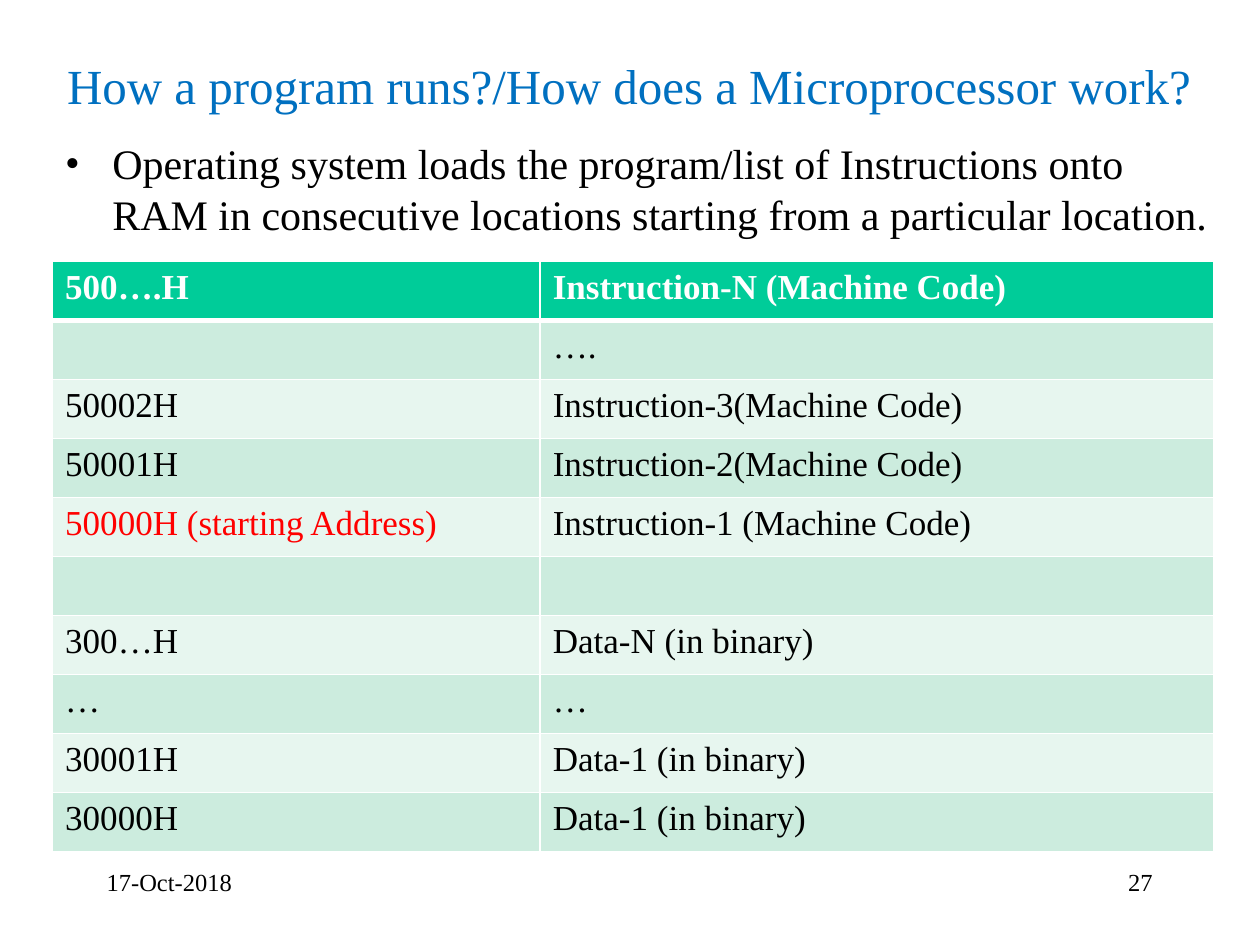
from pptx import Presentation
from pptx import util as u
from pptx.dml import color
from pptx.enum import text
from pptx.oxml import ns
from lxml import etree

FONT = "Times New Roman"
BLACK, WHITE, BLUE, RED = "000000", "FFFFFF", "0070C0", "FF0000"
HEADER, BAND_DARK, BAND_LIGHT = "00CC99", "CCECDE", "E7F6EF"

START_ADDRESS = "50000H (starting Address)"
MEMORY_MAP = [
    ("500….H", "Instruction-N (Machine Code)"),
    ("", "…."),
    ("50002H", "Instruction-3(Machine Code)"),
    ("50001H", "Instruction-2(Machine Code)"),
    (START_ADDRESS, "Instruction-1 (Machine Code)"),
    ("", ""),
    ("300…H", "Data-N (in binary)"),
    ("…", "…"),
    ("30001H", "Data-1 (in binary)"),
    ("30000H", "Data-1 (in binary)"),
]


def rgb(value):
    return color.RGBColor.from_string(value)


def add_child(parent, tag, **attrs):
    return etree.SubElement(parent, ns.qn(tag), attrs)


class Deck:
    """Holds the text style and the slide being filled."""

    def __init__(self, prs):
        self.slide = prs.slides.add_slide(prs.slide_layouts[1])

    def place(self, sp, box):
        for name, value in zip(("left", "top", "width", "height"), box):
            setattr(sp, name, u.Cm(value))

    def add_words(self, tf, words, size, fill=BLACK, bold=False,
                  align=text.PP_ALIGN.LEFT):
        p = tf.paragraphs[0]
        p.alignment = align
        if words:
            r = p.add_run()
            r.text = words
            style = {"name": FONT, "size": u.Pt(size), "bold": bold}
            for name, value in style.items():
                setattr(r.font, name, value)
            r.font.color.rgb = rgb(fill)
        return p

    def frame(self, sp, anchor):
        tf = sp.text_frame
        layout = {"word_wrap": True, "auto_size": text.MSO_AUTO_SIZE.NONE,
                  "vertical_anchor": anchor}
        for name, value in layout.items():
            setattr(tf, name, value)
        return tf

    def title(self, words, box):
        sp = self.slide.shapes.title
        self.place(sp, box)
        self.add_words(self.frame(sp, text.MSO_ANCHOR.MIDDLE), words, 28, BLUE,
                       align=text.PP_ALIGN.CENTER)

    def bullet(self, words, box):
        sp = self.slide.placeholders[1]
        self.place(sp, box)
        p = self.add_words(self.frame(sp, text.MSO_ANCHOR.TOP), words, 24)
        p.space_before = u.Pt(0)
        pPr = p._p.get_or_add_pPr()
        indent = u.Cm(0.95)
        pPr.set("marL", str(indent))
        pPr.set("indent", str(-indent))
        add_child(pPr, "a:buFont", typeface=FONT)
        add_child(pPr, "a:buChar", char="•")

    def label(self, words, box, align=text.PP_ALIGN.LEFT):
        sp = self.slide.shapes.add_textbox(*map(u.Cm, box))
        self.add_words(self.frame(sp, text.MSO_ANCHOR.TOP), words, 14,
                       align=align)

    def borders(self, cell, bottom):
        tcPr = cell._tc.get_or_add_tcPr()
        for side, width in zip("LRTB", (1, 1, 1, bottom)):
            ln = add_child(tcPr, f"a:ln{side}", w=str(u.Pt(width)))
            add_child(add_child(ln, "a:solidFill"), "a:srgbClr", val=WHITE)

    def table(self, rows, box, widths):
        tbl = self.slide.shapes.add_table(
            len(rows), len(widths), *map(u.Cm, box)).table
        for column, width in zip(tbl.columns, widths):
            column.width = u.Cm(width)
        for i, row in enumerate(rows):
            head = i == 0
            fill = HEADER if head else BAND_DARK if i % 2 else BAND_LIGHT
            for j, words in enumerate(row):
                cell = tbl.cell(i, j)
                self.borders(cell, 3 if head else 1)
                cell.fill.solid()
                cell.fill.fore_color.rgb = rgb(fill)
                ink = WHITE if head else RED if words == START_ADDRESS else BLACK
                self.add_words(cell.text_frame, words, 20, ink, head)


def main():
    prs = Presentation()
    prs.slide_width, prs.slide_height = u.Cm(25.4), u.Cm(19.05)
    deck = Deck(prs)
    deck.title("How a program runs?/How does a Microprocessor work?",
               (0.53, 0.76, 24.3, 1.9))
    deck.bullet("Operating system loads the program/list of Instructions onto "
                "RAM in consecutive locations starting from a particular "
                "location.", (1.06, 2.65, 23.7, 2.76))
    deck.table(MEMORY_MAP, (1.06, 5.27, 23.4, 11.9), (9.83, 13.57))
    deck.label("17-Oct-2018", (1.9, 17.35, 5.29, 1.27))
    deck.label("27", (18.2, 17.35, 5.29, 1.27), text.PP_ALIGN.RIGHT)
    prs.save("out.pptx")


if __name__ == "__main__":
    main()
